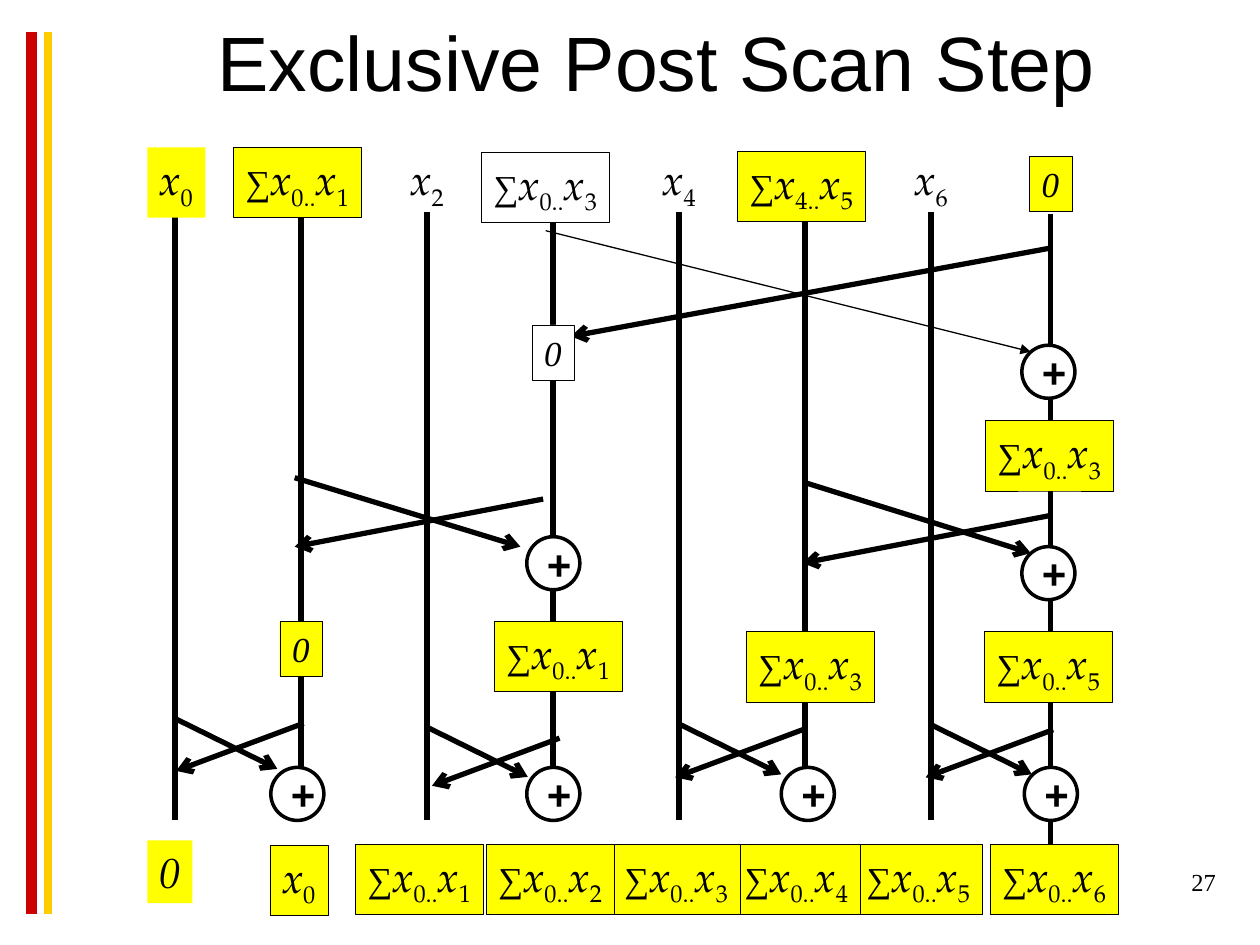
"""Build the slide showing the exclusive post scan step as a data-flow diagram."""
from dataclasses import dataclass, replace

from lxml.etree import SubElement
from pptx import Presentation
from pptx.dml.color import RGBColor
from pptx.enum.shapes import MSO_CONNECTOR, MSO_SHAPE
from pptx.enum.text import MSO_ANCHOR, PP_ALIGN
from pptx.oxml.ns import qn
from pptx.util import Cm, Pt


@dataclass(frozen=True)
class Theme:
    black: str = "000000"
    white: str = "FFFFFF"
    yellow: str = "FFFF00"
    red: str = "CC0000"
    gold: str = "FFCC00"
    sans: str = "Arial"
    serif: str = "Times New Roman"
    math: str = "TeX Gyre Pagella"
    title_size: float = 44
    term_size: float = 24
    symbol_size: float = 20
    number_size: float = 14
    thick: float = 3
    ring: float = 2
    thin: float = 0.75
    hairline: float = 0.25


THEME = Theme()


@dataclass(frozen=True)
class Run:
    text: str
    size: float = THEME.term_size
    font: str = THEME.math
    italic: bool = False
    bold: bool = False
    subscript: bool = False


@dataclass(frozen=True)
class Label:
    left: float
    top: float
    width: float
    height: float
    runs: tuple[Run, ...]
    fill: str | None = THEME.yellow
    outlined: bool = True


@dataclass(frozen=True)
class Line:
    start: tuple[float, float]
    end: tuple[float, float]
    width: float = THEME.thick
    color: str = THEME.black
    head: str | None = None


def term(index: str) -> tuple[Run, ...]:
    return Run("x", italic=True), Run(index, subscript=True)


def term_label(left: float, top: float, index: int) -> Label:
    return Label(left, top, 1.17, 1.42, term(str(index)))


def sum_label(left: float, top: float, first: int, last: int) -> Label:
    symbol = Run("∑", THEME.symbol_size, THEME.serif, italic=True)
    return Label(left, top, 2.59, 1.42, (symbol, *term(f"{first}.."), *term(str(last))))


def zero_label(left: float, top: float) -> Label:
    zero = Run("0", THEME.symbol_size, THEME.serif, italic=True)
    return Label(left, top, 0.86, 1.12, (zero,))


def arrow(start: tuple[float, float], end: tuple[float, float]) -> Line:
    return Line(start, end, head="arrow")


def add_runs(paragraph, runs: tuple[Run, ...]) -> None:
    for item in runs:
        run = paragraph.add_run()
        run.text = item.text
        run.font.size = Pt(item.size)
        run.font.name = item.font
        run.font.italic = item.italic
        run.font.bold = item.bold
        run.font.color.rgb = RGBColor.from_string(THEME.black)
        if item.subscript:
            run.font._element.set("baseline", "-25000")


def paint(shape, fill: str | None, line_width: float | None) -> None:
    if fill:
        shape.fill.solid()
        shape.fill.fore_color.rgb = RGBColor.from_string(fill)
    else:
        shape.fill.background()
    if line_width:
        shape.line.color.rgb = RGBColor.from_string(THEME.black)
        shape.line.width = Pt(line_width)
    else:
        shape.line.fill.background()


def draw_text(slide, left: float, top: float, width: float, height: float, run: Run,
              alignment: PP_ALIGN, anchor: MSO_ANCHOR) -> None:
    shape = slide.shapes.add_textbox(Cm(left), Cm(top), Cm(width), Cm(height))
    shape.text_frame.word_wrap = True
    shape.text_frame.vertical_anchor = anchor
    paragraph = shape.text_frame.paragraphs[0]
    paragraph.alignment = alignment
    add_runs(paragraph, (run,))


def draw_label(slide, label: Label) -> None:
    box = Cm(label.left), Cm(label.top), Cm(label.width), Cm(label.height)
    if label.fill:
        shape = slide.shapes.add_shape(MSO_SHAPE.RECTANGLE, *box)
        shape.shadow.inherit = False
    else:
        shape = slide.shapes.add_textbox(*box)
    paint(shape, label.fill, THEME.hairline if label.outlined else None)
    shape.text_frame.word_wrap = False
    shape.text_frame.vertical_anchor = MSO_ANCHOR.TOP
    paragraph = shape.text_frame.paragraphs[0]
    paragraph.alignment = PP_ALIGN.LEFT
    add_runs(paragraph, label.runs)


def draw_adder(slide, left: float, top: float) -> None:
    shape = slide.shapes.add_shape(MSO_SHAPE.OVAL, Cm(left), Cm(top), Cm(1.07), Cm(1.07))
    shape.shadow.inherit = False
    paint(shape, THEME.white, THEME.ring)
    shape.text_frame.word_wrap = True
    shape.text_frame.vertical_anchor = MSO_ANCHOR.MIDDLE
    paragraph = shape.text_frame.paragraphs[0]
    paragraph.alignment = PP_ALIGN.CENTER
    add_runs(paragraph, (Run("+", font=THEME.sans, bold=True),))


def draw_line(slide, line: Line) -> None:
    points = [Cm(value) for value in (*line.start, *line.end)]
    connector = slide.shapes.add_connector(MSO_CONNECTOR.STRAIGHT, *points)
    connector.line.color.rgb = RGBColor.from_string(line.color)
    connector.line.width = Pt(line.width)
    if line.head:
        SubElement(connector.line._get_or_add_ln(), qn("a:tailEnd"), type=line.head)
    SubElement(connector._element.spPr, qn("a:effectLst"))


STRIPES = [Line((0.64, 0.64), (0.64, 18.42), 6, THEME.red),
           Line((0.97, 0.64), (0.97, 18.42), 4.5, THEME.gold)]
COLUMNS = [Line((3.53 + 2.54 * i, 4.27), (3.53 + 2.54 * i, 16.54)) for i in range(7)]
COLUMNS.append(Line((21.18, 4.32), (21.18, 17.02)))
FIRST_ARROWS = [
    Line((11, 4.65), (20.78, 7.09), THEME.thin, head="triangle"),
    arrow((21.18, 5), (11.51, 6.78)),
    arrow((16.23, 9.73), (20.78, 11.15)), arrow((21.18, 10.39), (16.18, 11.35)),
    arrow((5.94, 9.63), (10.49, 11.02)), arrow((10.95, 10.06), (5.94, 11.02)),
]
LAST_ARROWS = [arrow((x, y), (x + 2.03, y + 1)) for x, y in
               ((3.56, 14.5), (8.61, 14.66), (13.72, 14.61), (18.77, 14.61))]
LAST_ARROWS += [arrow((x, y), (x - 2.57, y + 0.96)) for x, y in
                ((6.12, 14.58), (11.28, 14.88), (16.18, 14.71), (21.23, 14.71))]
ADDERS = [(20.6, 6.96), (20.6, 11.02), (10.62, 10.82)]
ADDERS += [(left, 15.47) for left in (5.46, 10.62, 15.75, 20.65)]

INPUT_LABELS = [
    replace(term_label(2.97, 2.97, 0), outlined=False),
    *(replace(term_label(left, 2.97, index), fill=None, outlined=False)
      for left, index in ((8.03, 2), (13.11, 4), (18.19, 6))),
    sum_label(4.7, 2.97, 0, 1), sum_label(14.86, 3.05, 4, 5),
    replace(sum_label(9.7, 3.07, 0, 3), fill=THEME.white), zero_label(20.75, 3.15),
]
STEP_LABELS = [
    replace(zero_label(10.72, 6.55), fill=THEME.white), sum_label(19.86, 8.48, 0, 3),
    sum_label(15.04, 12.73, 0, 3), sum_label(19.84, 12.73, 0, 5),
    sum_label(9.96, 12.52, 0, 1), zero_label(5.64, 12.52),
]
RESULT_LABELS = [sum_label(left, 17.02, 0, last) for left, last in
                 ((19.96, 6), (17.22, 5), (14.76, 4), (12.34, 3), (7.16, 1), (9.8, 2))]
RESULT_LABELS += [term_label(5.44, 17.04, 0),
                  Label(2.97, 16.94, 0.91, 1.27, (Run("0", italic=True),), outlined=False)]


def main() -> None:
    presentation = Presentation()
    presentation.slide_width, presentation.slide_height = Cm(25.4), Cm(19.05)
    slide = presentation.slides.add_slide(presentation.slide_layouts[6])
    for line in STRIPES + COLUMNS:
        draw_line(slide, line)
    draw_text(slide, 1.07, 0.15, 24.33, 2.16,
              Run("Exclusive Post Scan Step", THEME.title_size, THEME.sans),
              PP_ALIGN.CENTER, MSO_ANCHOR.MIDDLE)
    draw_text(slide, 19.48, 17.35, 5.28, 1.27, Run("27", THEME.number_size, THEME.serif),
              PP_ALIGN.RIGHT, MSO_ANCHOR.TOP)
    for left, top in ADDERS:
        draw_adder(slide, left, top)
    for line in FIRST_ARROWS + LAST_ARROWS:
        draw_line(slide, line)
    for label in INPUT_LABELS + STEP_LABELS + RESULT_LABELS:
        draw_label(slide, label)
    presentation.save("out.pptx")


if __name__ == "__main__":
    main()
